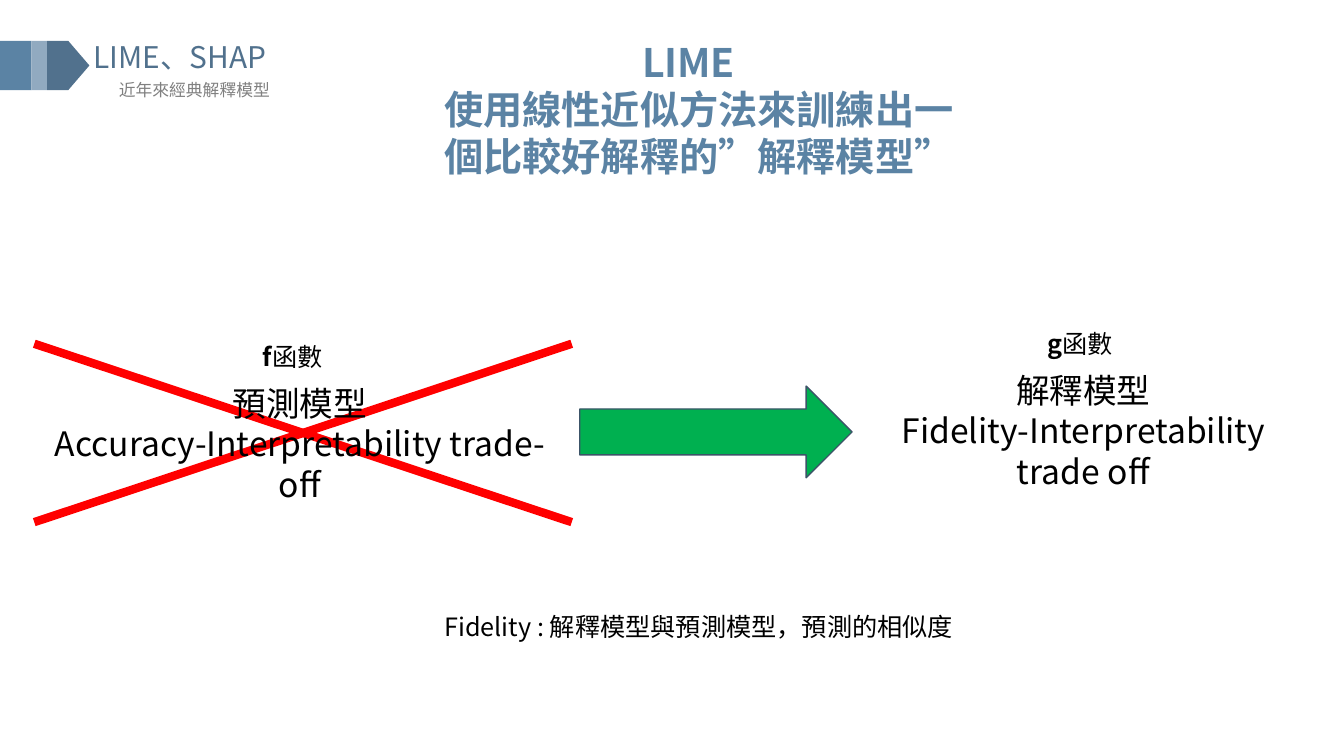
"""Build the slide on how LIME trains an interpretable surrogate model."""
from lxml import etree
from pptx import Presentation
from pptx.dml.color import RGBColor
from pptx.enum.shapes import MSO_CONNECTOR, MSO_SHAPE
from pptx.enum.text import PP_ALIGN
from pptx.oxml.ns import qn
from pptx.util import Inches, Pt

LEFT, CENTER, JUSTIFY = PP_ALIGN.LEFT, PP_ALIGN.CENTER, PP_ALIGN.JUSTIFY
RECTANGLE, PENTAGON, ARROW = MSO_SHAPE.RECTANGLE, MSO_SHAPE.PENTAGON, MSO_SHAPE.RIGHT_ARROW
STRAIGHT = MSO_CONNECTOR.STRAIGHT
FONT = "Noto Sans CJK SC"
WIDTH, HEIGHT = Inches(13.33), Inches(7.5)
COLORS = {
    "blue": "5B83A4", "light": "91AAC0", "dark": "51718D", "gray": "808080",
    "black": "000000", "red": "FF0000", "green": "00B050", "outline": "3C5468",
}

# Boxes are left, top, width, height in percent of the slide.
HEADER = [
    ("LIME、SHAP", (6.23, 4.53, 19.5, 6.13), 21.3, "dark"),
    ("近年來經典解釋模型", (8.1, 9.87, 15, 4.13), 12, "gray"),
]
BADGE_TOP, BADGE_HEIGHT = 5.4, 6.53
BADGE = [
    (RECTANGLE, 0, 2.33, "blue"),
    (RECTANGLE, 2.33, 1.17, "light"),
    (PENTAGON, 3.5, 3.15, "dark"),
]
TITLES = [
    ("LIME", (36.08, 4.4, 30.31, 7.6), CENTER),
    ("使用線性近似方法來訓練出一個比較好解釋的”解釋模型”", (32.33, 10.67, 40.58, 13.87), LEFT),
]
MODELS = [
    ("解釋模型\nFidelity-Interpretability trade off", (63.84, 48.27, 33.53, 17.47)),
    ("預測模型\nAccuracy-Interpretability trade-off", (2.03, 50, 40.58, 12.13)),
]
FUNCTIONS = [
    ("f", "函數", (18.83, 44.53, 7.43, 5.33)),
    ("g", "函數", (77.19, 42.8, 12.9, 5.33)),
]
NOTE = ("Fidelity : 解釋模型與預測模型，預測的相似度", (32.33, 80.27, 43.74, 5.33))
CROSS = (2.55, 45.47, 42.54, 69.07)
ARROW_BOX = (43.14, 51.07, 20.26, 12.13)


def place(box):
    """Turn percentages of the slide into lengths."""
    return [round(share * side / 100) for share, side in zip(box, (WIDTH, HEIGHT) * 2)]


def color(name):
    """Look up a named colour."""
    return RGBColor.from_string(COLORS[name])


def add_text(slide, text, box, size=18, fill="black", bold=False, align=LEFT, lead=""):
    """Add a text box, with an optional bold lead before the text."""
    frame = slide.shapes.add_textbox(*place(box)).text_frame
    frame.word_wrap = True
    for index, line in enumerate(text.split("\n")):
        paragraph = frame.add_paragraph() if index else frame.paragraphs[0]
        paragraph.alignment = align
        for content, heavy in ((lead, True), (line, bold)):
            if content:
                run = paragraph.add_run()
                run.text = content
                run.font.name, run.font.size, run.font.bold = FONT, Pt(size), heavy
                run.font.color.rgb = color(fill)
                properties = run.font._element
                etree.SubElement(properties, qn("a:ea")).set("typeface", FONT)


def add_block(slide, kind, box, fill, outline=None):
    """Add a filled shape, outlined when a colour is given."""
    shape = slide.shapes.add_shape(kind, *place(box))
    shape.shadow.inherit = False
    shape.fill.solid()
    shape.fill.fore_color.rgb = color(fill)
    if outline:
        shape.line.color.rgb = color(outline)
        shape.line.width = Pt(1)
    else:
        shape.line.fill.background()


def add_cross(slide, corners):
    """Draw both diagonals of a box."""
    left, top, right, bottom = place(corners)
    for start, end in ((top, bottom), (bottom, top)):
        line = slide.shapes.add_connector(STRAIGHT, left, start, right, end)
        line.line.color.rgb = color("red")
        line.line.width = Pt(6)
        etree.SubElement(line._element.spPr, qn("a:effectLst"))


def main():
    """Compose and save the slide."""
    presentation = Presentation()
    presentation.slide_width, presentation.slide_height = WIDTH, HEIGHT
    slide = presentation.slides.add_slide(presentation.slide_layouts[6])
    for text, box, size, fill in HEADER:
        add_text(slide, text, box, size=size, fill=fill, align=JUSTIFY)
    for kind, left, width, fill in BADGE:
        add_block(slide, kind, (left, BADGE_TOP, width, BADGE_HEIGHT), fill)
    for text, box, align in TITLES:
        add_text(slide, text, box, size=28, fill="blue", bold=True, align=align)
    add_cross(slide, CROSS)
    for text, box in MODELS:
        add_text(slide, text, box, size=24, align=CENTER)
    add_block(slide, ARROW, ARROW_BOX, "green", outline="outline")
    add_text(slide, *NOTE)
    for letter, text, box in FUNCTIONS:
        add_text(slide, text, box, lead=letter)
    presentation.save("out.pptx")


if __name__ == "__main__":
    main()
